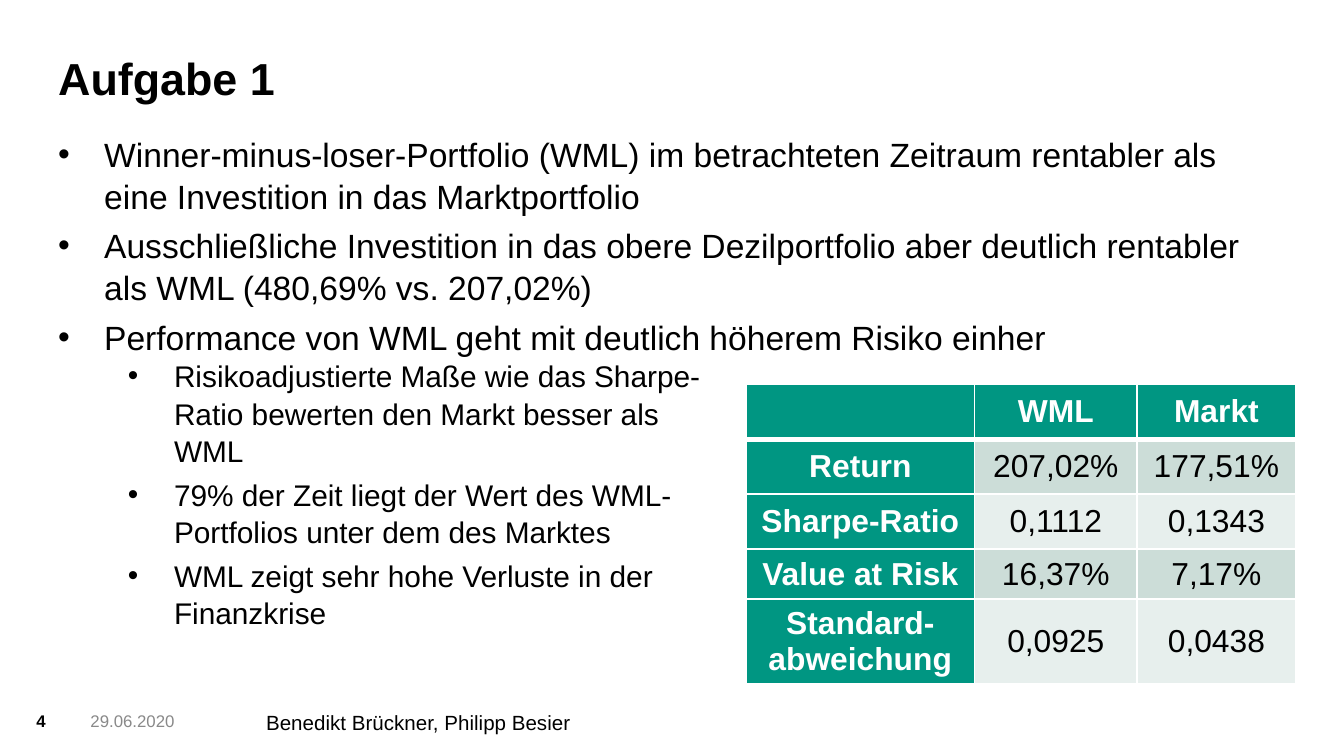
from dataclasses import dataclass

from lxml.etree import SubElement
from pptx import Presentation
from pptx.dml.color import RGBColor as RGB
from pptx.enum.text import MSO_ANCHOR as Anchor, MSO_AUTO_SIZE as AutoSize, PP_ALIGN as Align
from pptx.oxml.ns import qn
from pptx.util import Cm, Pt


@dataclass(frozen=True)
class Theme:
    font: str = "Arial"
    ink: str = "000000"
    muted: str = "898989"
    paper: str = "FFFFFF"
    accent: str = "009682"
    bands: tuple = ("CCDDD8", "E7EFED")
    title: int = 24
    body: int = 18
    detail: int = 16
    table: int = 17
    authors: int = 11
    small: int = 9


THEME = Theme()

FINDINGS = [
    "Winner-minus-loser-Portfolio (WML) im betrachteten Zeitraum rentabler als "
    "eine Investition in das Marktportfolio",
    "Ausschließliche Investition in das obere Dezilportfolio aber deutlich rentabler "
    "als WML (480,69% vs. 207,02%)",
    "Performance von WML geht mit deutlich höherem Risiko einher",
]
RISKS = [
    "Risikoadjustierte Maße wie das Sharpe-Ratio bewerten den Markt besser als WML",
    "79% der Zeit liegt der Wert des WML-Portfolios unter dem des Marktes",
    "WML zeigt sehr hohe Verluste in der Finanzkrise",
]
KEY_FIGURES = [
    ["", "WML", "Markt"],
    ["Return", "207,02%", "177,51%"],
    ["Sharpe-Ratio", "0,1112", "0,1343"],
    ["Value at Risk", "16,37%", "7,17%"],
    ["Standard-abweichung", "0,0925", "0,0438"],
]


def format_runs(paragraph, size, color=THEME.ink, bold=False):
    for run in paragraph.runs:
        run.font.name = THEME.font
        run.font.size = Pt(size)
        run.font.bold = bold
        run.font.color.rgb = RGB.from_string(color)


def set_frame(frame, inset=0, anchor=Anchor.TOP):
    frame.word_wrap = True
    frame.auto_size = AutoSize.NONE
    frame.vertical_anchor = anchor
    frame.margin_left = frame.margin_right = Cm(2 * inset)
    frame.margin_top = frame.margin_bottom = Cm(inset)


def add_label(slide, box, text, size, color=THEME.ink, bold=False, inset=0):
    frame = slide.shapes.add_textbox(*box).text_frame
    set_frame(frame, inset)
    frame.text = text
    format_runs(frame.paragraphs[0], size, color, bold)
    return frame.paragraphs[0]


def place_title(slide, box, text):
    title = slide.shapes.title
    title.left, title.top, title.width, title.height = box
    set_frame(title.text_frame, anchor=Anchor.BOTTOM)
    title.text_frame.text = text
    heading = title.text_frame.paragraphs[0]
    heading.alignment = Align.LEFT
    format_runs(heading, THEME.title, bold=True)


def add_bullets(slide, box, points, size, indent, level=0):
    frame = slide.shapes.add_textbox(*box).text_frame
    set_frame(frame)
    for number, point in enumerate(points):
        paragraph = frame.add_paragraph() if number else frame.paragraphs[0]
        paragraph.text = point
        paragraph.level = level
        paragraph.line_spacing = 1.05
        paragraph.space_before = Pt(0.2 * size)
        format_runs(paragraph, size)
        properties = paragraph._p.get_or_add_pPr()
        properties.set("marL", str(indent))
        properties.set("indent", str(-Cm(0.87)))
        SubElement(properties, qn("a:buFont"), typeface=THEME.font)
        SubElement(properties, qn("a:buChar"), char="•")


def set_borders(cell, bottom):
    properties = cell._tc.get_or_add_tcPr()
    for side, width in (("L", 1), ("R", 1), ("T", 1), ("B", bottom)):
        line = SubElement(properties, qn(f"a:ln{side}"), w=str(Pt(width)))
        SubElement(SubElement(line, qn("a:solidFill")), qn("a:srgbClr"), val=THEME.paper)


def add_key_figures(slide, box, figures):
    table = slide.shapes.add_table(len(figures), len(figures[0]), *box).table
    for column, width in zip(table.columns, (4.32, 3.07, 3)):
        column.width = Cm(width)
    for row, height in zip(table.rows, (1.04, 1.04, 1.04, 0.94, 1.6)):
        row.height = Cm(height)
    for row, values in enumerate(figures):
        for column, value in enumerate(values):
            is_header = row == 0 or column == 0
            cell = table.cell(row, column)
            cell.text = value
            cell.vertical_anchor = Anchor.MIDDLE
            set_borders(cell, bottom=1 if row else 3)
            cell.fill.solid()
            background = THEME.accent if is_header else THEME.bands[(row - 1) % 2]
            cell.fill.fore_color.rgb = RGB.from_string(background)
            paragraph = cell.text_frame.paragraphs[0]
            paragraph.alignment = Align.CENTER
            format_runs(paragraph, THEME.table, THEME.paper if is_header else THEME.ink, is_header)


def add_footer(slide, box, number, date, authors):
    left, top, width, height = box
    add_label(slide, (left, top + Cm(0.1), Cm(0.91), Cm(0.46)), number, THEME.small, bold=True)
    add_label(slide, (left + Cm(1.02), top + Cm(0.1), Cm(2.39), height),
              date, THEME.small, THEME.muted)
    names_left = Cm(4.09)
    names = add_label(slide, (left + names_left, top, width - names_left, height),
                      authors, THEME.authors, inset=0.127)
    names.line_spacing = 0.9
    names.space_after = Pt(6)


def main():
    deck = Presentation()
    deck.slide_width, deck.slide_height = Cm(25.4), Cm(14.29)
    slide = deck.slides.add_slide(deck.slide_layouts[5])
    margin = Cm(1.1)
    place_title(slide, (margin, Cm(0.81), Cm(19.2), Cm(1.17)), "Aufgabe 1")
    add_bullets(slide, (margin, Cm(2.49), Cm(23.2), Cm(4.24)), FINDINGS, THEME.body, Cm(0.87))
    add_key_figures(slide, (Cm(14.1), Cm(7.26), Cm(10.39), Cm(5.66)), KEY_FIGURES)
    add_bullets(slide, (margin, Cm(6.73), Cm(12.57), Cm(5.61)), RISKS, THEME.detail,
                Cm(2.19), level=1)
    add_footer(slide, (Cm(0.69), Cm(13.34), Cm(15.9), Cm(0.76)),
               "4", "29.06.2020", "Benedikt Brückner, Philipp Besier")
    deck.save("out.pptx")


if __name__ == "__main__":
    main()
